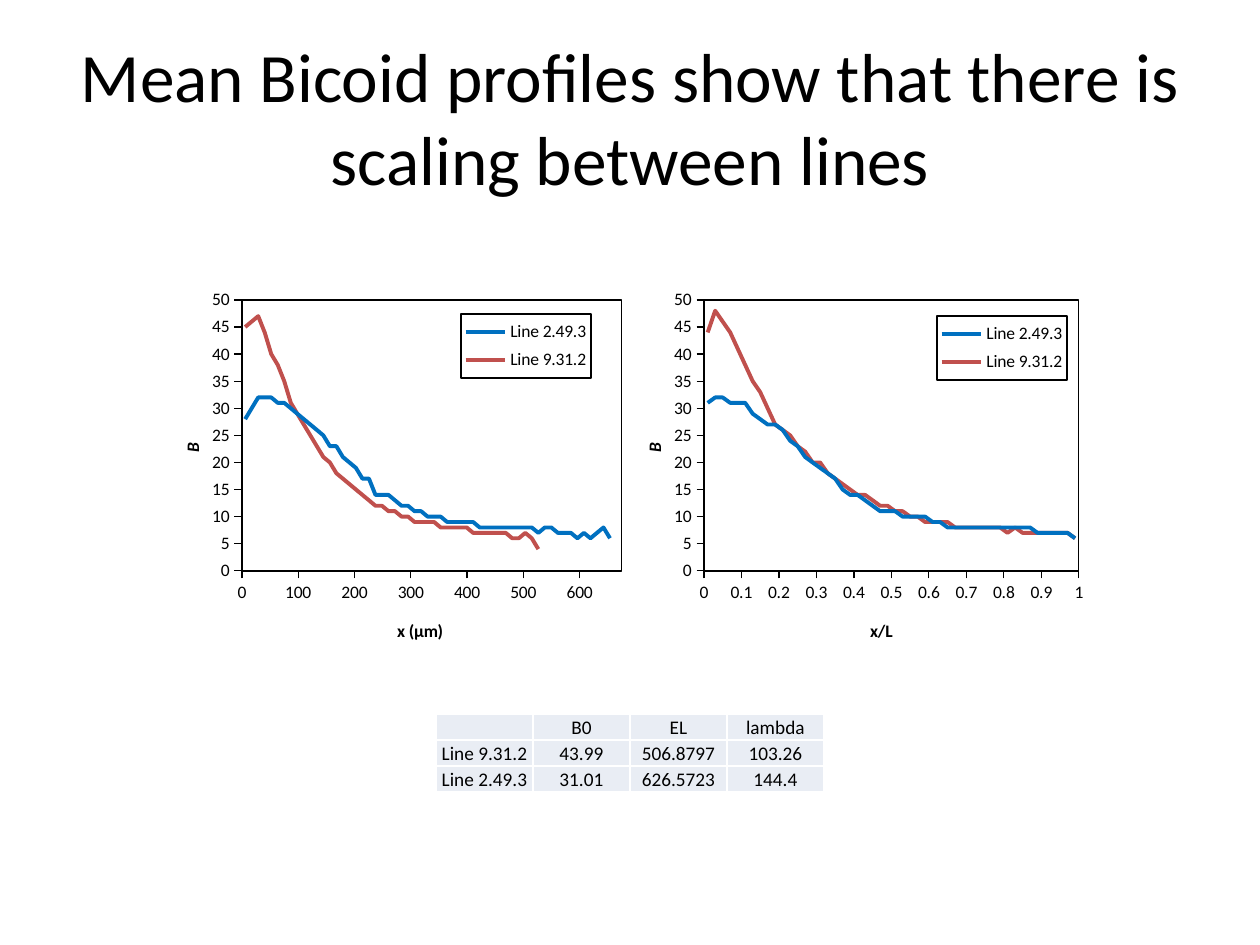
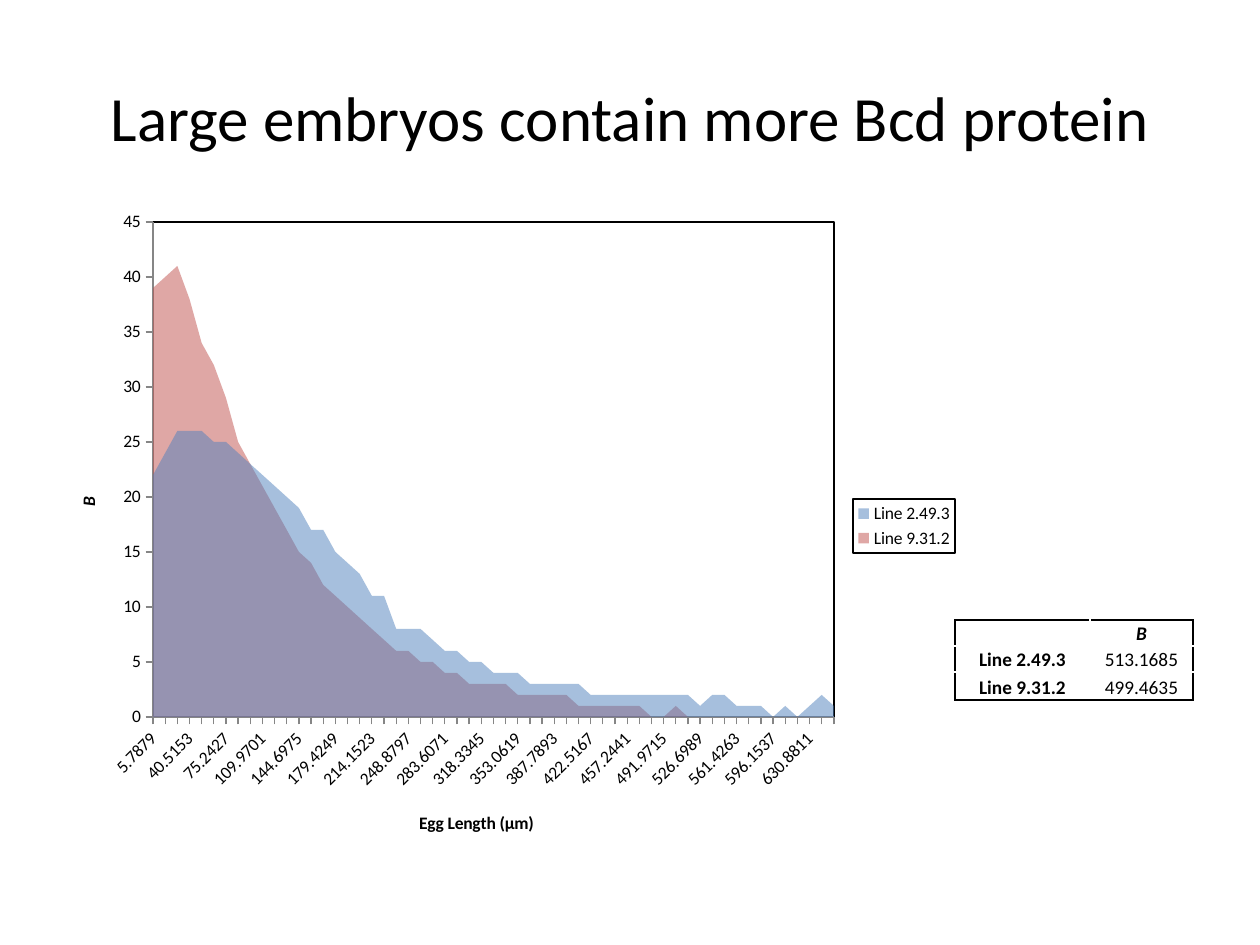
"""Builds two slides comparing Bicoid profiles of two fly lines."""
from dataclasses import dataclass

from lxml.etree import SubElement
from pptx import Presentation
from pptx.chart.data import CategoryChartData, XyChartData
from pptx.dml.color import RGBColor
from pptx.enum.chart import XL_CHART_TYPE as ChartType, XL_LEGEND_POSITION as LegendSide
from pptx.enum.chart import XL_TICK_MARK as TickMark
from pptx.enum.text import MSO_ANCHOR as Anchor, MSO_AUTO_SIZE as AutoSize, PP_ALIGN as Align
from pptx.oxml import parse_xml
from pptx.oxml.ns import nsdecls, qn
from pptx.util import Pt


@dataclass(frozen=True)
class Theme:
    """Colours, font and type sizes."""
    font: str = "Calibri"
    ink: str = "000000"
    white: str = "FFFFFF"
    band: str = "E9EDF4"
    axis_grey: str = "868686"
    curves: tuple = ("0070C0", "C0504D")
    areas: tuple = ("4F81BD", "C0504D")
    chart_size: float = 10
    table_size: float = 11
    hairline: float = 0.75
    curve_width: float = 2.25


THEME = Theme()
EMU_PER_PX = 914400 / 126
LINES = ("Line 2.49.3", "Line 9.31.2")
HALF_BIN = 5.7879

PROFILES_BY_DISTANCE = (
    [28, 30, 32, 32, 32, 31, 31, 30, 29, 28, 27, 26, 25, 23, 23, 21, 20, 19, 17, 17,
     14, 14, 14, 13, 12, 12, 11, 11, 10, 10, 10, 9, 9, 9, 9, 9, 8, 8, 8, 8,
     8, 8, 8, 8, 8, 7, 8, 8, 7, 7, 7, 6, 7, 6, 7, 8, 6],
    [45, 46, 47, 44, 40, 38, 35, 31, 29, 27, 25, 23, 21, 20, 18, 17, 16, 15, 14, 13,
     12, 12, 11, 11, 10, 10, 9, 9, 9, 9, 8, 8, 8, 8, 8, 7, 7, 7, 7, 7,
     7, 6, 6, 7, 6, 4],
)
PROFILES_BY_FRACTION = (
    [31, 32, 32, 31, 31, 31, 29, 28, 27, 27, 26, 24, 23, 21, 20, 19, 18, 17, 15, 14,
     14, 13, 12, 11, 11, 11, 10, 10, 10, 10, 9, 9, 8, 8, 8, 8, 8, 8, 8, 8,
     8, 8, 8, 8, 7, 7, 7, 7, 7, 6],
    [44, 48, 46, 44, 41, 38, 35, 33, 30, 27, 26, 25, 23, 22, 20, 20, 18, 17, 16, 15,
     14, 14, 13, 12, 12, 11, 11, 10, 10, 9, 9, 9, 9, 8, 8, 8, 8, 8, 8, 8,
     7, 8, 7, 7, 7, 7, 7, 7, 7, 6],
)
PROTEIN_AMOUNTS = (
    [22, 24, 26, 26, 26, 25, 25, 24, 23, 22, 21, 20, 19, 17, 17, 15, 14, 13, 11, 11,
     8, 8, 8, 7, 6, 6, 5, 5, 4, 4, 4, 3, 3, 3, 3, 3, 2, 2, 2, 2,
     2, 2, 2, 2, 2, 1, 2, 2, 1, 1, 1, 0, 1, 0, 1, 2, 1],
    [39, 40, 41, 38, 34, 32, 29, 25, 23, 21, 19, 17, 15, 14, 12, 11, 10, 9, 8, 7,
     6, 6, 5, 5, 4, 4, 3, 3, 3, 3, 2, 2, 2, 2, 2, 1, 1, 1, 1, 1,
     1, 0, 0, 1, 0, -2],
)

SCALING = {
    "title": ("Mean Bicoid profiles show that there is scaling between lines", 39.6),
    "charts": [
        {"profiles": PROFILES_BY_FRACTION, "half_bin": 0.01, "x_title": "x/L",
         "x_scale": (1, 0.1), "y_max": 50, "frame": (609, 284, 630, 378),
         "plot": (704, 300, 375, 271), "legend": (937, 316, 130, 64),
         "x_title_at": (867, 616), "y_title_at": (640, 440)},
        {"profiles": PROFILES_BY_DISTANCE, "half_bin": HALF_BIN, "x_title": "x (µm)",
         "x_scale": (675, 100), "y_max": 50, "frame": (147, 284, 630, 378),
         "plot": (242, 300, 380, 271), "legend": (461, 314, 130, 64),
         "x_title_at": (394, 616), "y_title_at": (178, 440)},
    ],
    "table": {
        "rows": [("", "B0", "EL", "lambda"),
                 (LINES[1], "43.99", "506.8797", "103.26"),
                 (LINES[0], "31.01", "626.5723", "144.4")],
        "at": (436, 714), "widths": (97,) * 4, "heights": (26,) * 3, "boxed": False},
}
PROTEIN = {
    "title": ("Large embryos contain more Bcd protein", 36),
    "charts": [
        {"profiles": PROTEIN_AMOUNTS, "half_bin": HALF_BIN, "x_title": "Egg Length (µm)",
         "x_scale": None, "y_max": 45, "frame": (42, 199, 925, 654),
         "plot": (153, 222, 681, 495), "legend": (853, 499, 102, 54),
         "x_title_at": (416, 808), "y_title_at": (74, 494)},
    ],
    "table": {
        "rows": [("", "B"), (LINES[0], "513.1685"), (LINES[1], "499.4635")],
        "at": (955, 620), "widths": (135, 103), "heights": (26, 26, 28), "boxed": True},
}


def px(*lengths):
    """Turn pixels into EMU."""
    return [round(length * EMU_PER_PX) for length in lengths]


def rgb(colour):
    return RGBColor.from_string(colour)


def style_font(font, size, colour=THEME.ink, bold=False, italic=False):
    font.name, font.size, font.bold, font.italic = THEME.font, Pt(size), bold, italic
    font.color.rgb = rgb(colour)


def style_line(line, colour, width):
    line.color.rgb = rgb(colour)
    line.width = Pt(width)


def outline_xml(colour=None):
    """Make chart shape properties with no fill and an optional hairline."""
    paint = f'<a:solidFill><a:srgbClr val="{colour}"/></a:solidFill>' if colour else "<a:noFill/>"
    return parse_xml(f'<c:spPr {nsdecls("c", "a")}><a:noFill/>'
                     f'<a:ln w="{Pt(THEME.hairline)}">{paint}</a:ln></c:spPr>')


def place(part, box, frame, index, inner=False):
    """Give a chart part a manual layout, measured inside the chart frame."""
    for old in part.findall(qn("c:layout")):
        part.remove(old)
    layout = parse_xml(f'<c:layout {nsdecls("c")}><c:manualLayout/></c:layout>')
    left, top, width, height = frame
    shares = ((box[0] - left) / width, (box[1] - top) / height,
              *(size / whole for size, whole in zip(box[2:], (width, height))))
    settings = [("layoutTarget", "inner")] if inner else []
    settings += [("xMode", "edge"), ("yMode", "edge")]
    settings += [(key, f"{share:.4f}") for key, share in zip("xywh", shares)]
    for key, setting in settings:
        SubElement(layout[0], qn(f"c:{key}"), val=setting)
    part.insert(index, layout)


def chart_data(profiles, half_bin, as_points):
    bins = [round(half_bin * (2 * i + 1), 4) for i in range(len(profiles[0]))]
    if as_points:
        data = XyChartData()
        for name, profile in zip(LINES, profiles):
            curve = data.add_series(name)
            for position, amount in zip(bins, profile):
                curve.add_data_point(position, amount)
        return data
    data = CategoryChartData()
    data.categories = [str(position) for position in bins]
    for name, profile in zip(LINES, profiles):
        data.add_series(name, profile)
    return data


def style_axis(axis, title, title_at, frame, colour, upright=False):
    axis.has_major_gridlines = False
    axis.major_tick_mark, axis.minor_tick_mark = TickMark.OUTSIDE, TickMark.NONE
    style_line(axis.format.line, colour, THEME.hairline)
    style_font(axis.tick_labels.font, THEME.chart_size)
    axis.tick_labels.number_format = "General"
    axis.tick_labels.number_format_is_linked = False
    text = axis.axis_title.text_frame
    run = text.paragraphs[0].add_run()
    run.text = title
    style_font(run.font, THEME.chart_size, bold=True, italic=upright)
    if upright:
        body = text._txBody.find(qn("a:bodyPr"))
        body.set("rot", "-5400000")
        body.set("vert", "horz")
    place(axis.axis_title._element, title_at, frame, 1)


def add_profile_chart(slide, profiles, half_bin, x_title, x_scale, y_max, frame, plot,
                      legend, x_title_at, y_title_at):
    as_points = x_scale is not None
    kind = ChartType.XY_SCATTER_SMOOTH_NO_MARKERS if as_points else ChartType.AREA
    chart = slide.shapes.add_chart(kind, *px(*frame),
                                   chart_data(profiles, half_bin, as_points)).chart
    chart.has_title = False
    style_font(chart.font, THEME.chart_size)
    chart.plots[0].vary_by_categories = False

    axis_colour = THEME.ink if as_points else THEME.axis_grey
    x_axis, y_axis = chart.category_axis, chart.value_axis
    style_axis(x_axis, x_title, x_title_at, frame, axis_colour)
    style_axis(y_axis, "B", y_title_at, frame, axis_colour, upright=True)
    y_axis.minimum_scale, y_axis.maximum_scale, y_axis.major_unit = 0, y_max, 5
    if as_points:
        x_axis.minimum_scale = 0
        x_axis.maximum_scale, x_axis.major_unit = x_scale
    else:
        x_axis._element.find(qn("c:txPr")).find(qn("a:bodyPr")).set("rot", "-2700000")

    for series, curve, area in zip(chart.plots[0].series, THEME.curves, THEME.areas):
        if as_points:
            series.smooth = True
            style_line(series.format.line, curve, THEME.curve_width)
        else:
            series.format.fill.solid()
            series.format.fill.fore_color.rgb = rgb(area)
            for colour in series._element.iter(qn("a:srgbClr")):
                SubElement(colour, qn("a:alpha"), val="50000")
            series.format.line.fill.background()

    chart.has_legend = True
    chart.legend.position = LegendSide.RIGHT
    chart.legend.include_in_layout = False
    style_font(chart.legend.font, THEME.chart_size)
    key = chart.legend._element
    place(key, legend, frame, 1)
    key.find(qn("c:overlay")).addnext(outline_xml(THEME.ink))

    body = chart._chartSpace.find(qn("c:chart"))
    plot_area = body.find(qn("c:plotArea"))
    place(plot_area, plot, frame, 0, inner=True)
    plot_area.append(outline_xml(THEME.ink))
    body.addnext(outline_xml())


def set_borders(cell, colours):
    """Draw the given sides (L, R, T, B) of a cell."""
    properties = cell._tc.get_or_add_tcPr()
    for index, (side, colour) in enumerate(colours.items()):
        properties.insert(index, parse_xml(
            f'<a:ln{side} {nsdecls("a")} w="{Pt(1)}"><a:solidFill>'
            f'<a:srgbClr val="{colour}"/></a:solidFill></a:ln{side}>'))


def add_summary_table(slide, rows, at, widths, heights, boxed):
    table = slide.shapes.add_table(len(rows), len(widths),
                                   *px(*at, sum(widths), sum(heights))).table
    table.first_row = table.horz_banding = False
    for column, width in zip(table.columns, px(*widths)):
        column.width = width
    for row, height in zip(table.rows, px(*heights)):
        row.height = height
    for r, entries in enumerate(rows):
        for c, entry in enumerate(entries):
            cell = table.cell(r, c)
            cell.vertical_anchor = Anchor.BOTTOM
            cell.margin_left = cell.margin_right = cell.margin_top = cell.margin_bottom = 0
            paragraph = cell.text_frame.paragraphs[0]
            paragraph.alignment = Align.CENTER
            if entry:
                run = paragraph.add_run()
                run.text = entry
                style_font(run.font, THEME.table_size, bold=boxed and (r == 0 or c == 0),
                           italic=boxed and r == 0)
            else:
                SubElement(paragraph._p, qn("a:endParaRPr"), sz=str(THEME.table_size * 100))
            if boxed:
                cell.fill.background()
                outer = {"L": c == 0, "R": c == len(widths) - 1,
                         "T": r == 0, "B": r == len(rows) - 1}
                set_borders(cell, {side: THEME.ink for side, drawn in outer.items() if drawn})
            else:
                cell.fill.solid()
                cell.fill.fore_color.rgb = rgb(THEME.band)
                set_borders(cell, dict.fromkeys("LRTB", THEME.white))


def add_title(slide, wording, size):
    title = slide.shapes.title
    title.left, title.top, title.width, title.height = px(63, 38, 1134, 157)
    frame = title.text_frame
    frame.word_wrap, frame.auto_size = True, AutoSize.NONE
    frame.vertical_anchor = Anchor.MIDDLE
    paragraph = frame.paragraphs[0]
    paragraph.alignment = Align.CENTER
    run = paragraph.add_run()
    run.text = wording
    style_font(run.font, size)


def main():
    deck = Presentation()
    deck.slide_width, deck.slide_height = px(1260, 945)
    for content in (SCALING, PROTEIN):
        slide = deck.slides.add_slide(deck.slide_layouts[5])
        add_title(slide, *content["title"])
        for chart in content["charts"]:
            add_profile_chart(slide, **chart)
        add_summary_table(slide, **content["table"])
    deck.save("out.pptx")


if __name__ == "__main__":
    main()
